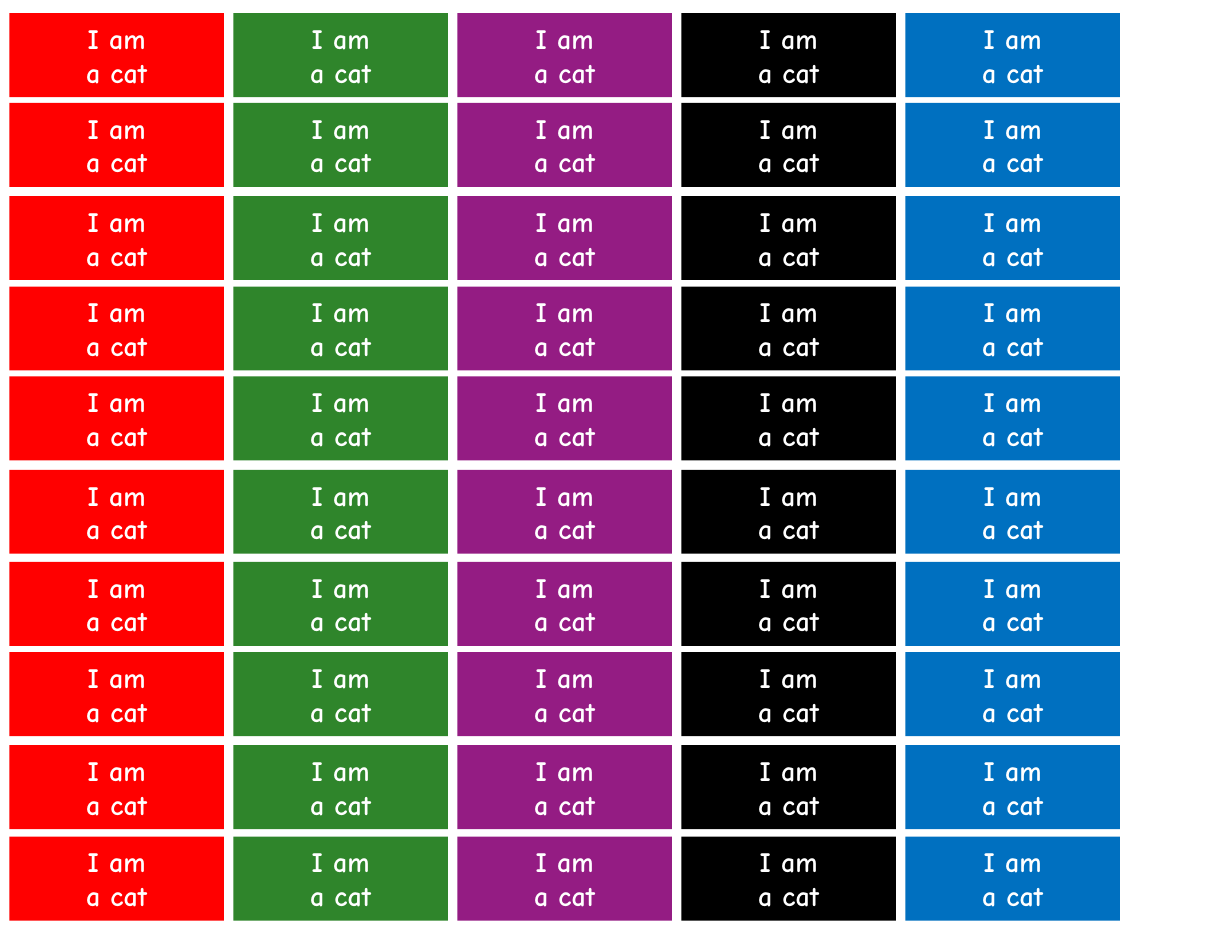
from dataclasses import dataclass
from itertools import product

from pptx import Presentation
from pptx.dml.color import RGBColor
from pptx.enum.shapes import MSO_SHAPE
from pptx.enum.text import MSO_ANCHOR, PP_ALIGN
from pptx.util import Pt


@dataclass(frozen=True)
class Theme:
    labels: tuple = ("FF0000", "2F852B", "941C83", "000000", "0070C0")
    text: str = "FFFFFF"
    font: str = "Comic Neue"
    size: int = 18


THEME = Theme()
LINES = ("I am", "a cat")
LEFT, PITCH = 6, 144
LABEL_W, LABEL_H = 138, 54
ROW_TOPS = (8.4, 66.2, 126, 184.2, 242, 302, 361.2, 419.2, 479, 537.8)


def apply(obj, values):
    for name, value in values.items():
        setattr(obj, name, value)


def add_line(p, text):
    p.alignment = PP_ALIGN.CENTER
    r = p.add_run()
    r.text = text
    apply(r.font, {"name": THEME.font, "size": Pt(THEME.size), "bold": True})
    r.font.color.rgb = RGBColor.from_string(THEME.text)


def add_label(s, x, y, color):
    sp = s.shapes.add_shape(
        MSO_SHAPE.RECTANGLE, Pt(x), Pt(y), Pt(LABEL_W), Pt(LABEL_H)
    )
    sp.shadow.inherit = False
    sp.fill.solid()
    sp.fill.fore_color.rgb = RGBColor.from_string(color)
    sp.line.fill.background()
    tf = sp.text_frame
    apply(tf, {"word_wrap": True, "vertical_anchor": MSO_ANCHOR.MIDDLE})
    for i, text in enumerate(LINES):
        add_line(tf.add_paragraph() if i else tf.paragraphs[0], text)


def main():
    prs = Presentation()
    apply(prs, {"slide_width": Pt(792), "slide_height": Pt(612)})
    s = prs.slides.add_slide(prs.slide_layouts[6])
    for (col, color), top in product(enumerate(THEME.labels), ROW_TOPS):
        add_label(s, LEFT + col * PITCH, top, color)
    prs.save("out.pptx")


if __name__ == "__main__":
    main()
